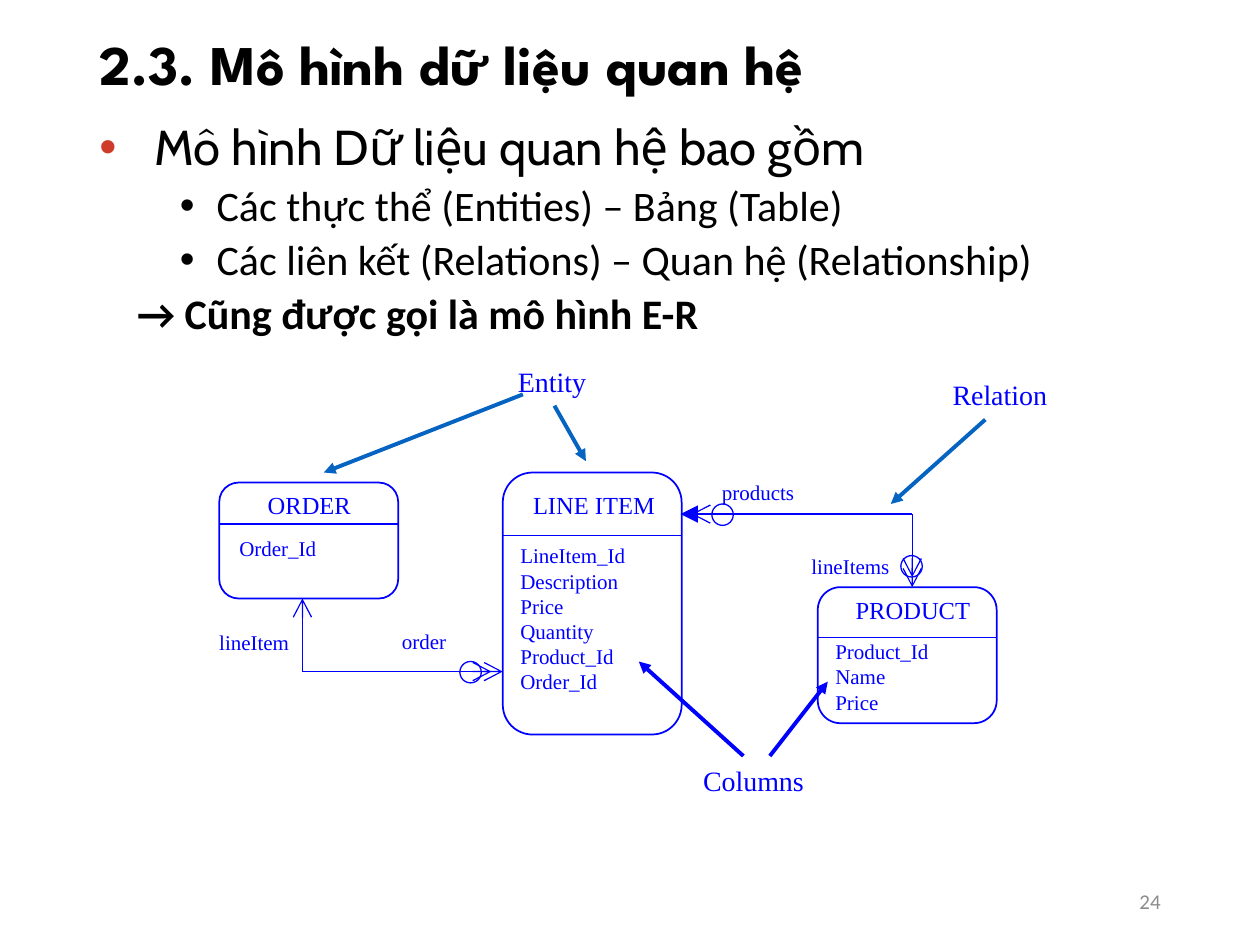
from lxml import etree
from pptx import Presentation
from pptx import util as u
from pptx.dml import color as dml
from pptx.enum import shapes, text
from pptx.oxml import ns

BLUE, STEEL, BLACK = "0000FF", "0563C1", "000000"
SERIF = "Times New Roman"


def rgb(value):
    return dml.RGBColor.from_string(value)


def add_xml(parent, tag, **attributes):
    return etree.SubElement(parent, ns.qn(tag), attributes)


def write(para, content, font=SERIF, size=12, color=BLUE, bold=False,
          align=text.PP_ALIGN.LEFT, spacing=None, before=0):
    para.alignment = align
    para.space_before = u.Pt(before)
    if spacing:
        para.line_spacing = spacing
    span = para.add_run()
    span.text = content
    span.font.name = font
    span.font.size = u.Pt(size)
    span.font.bold = bold
    span.font.color.rgb = rgb(color)


class Diagram:
    def __init__(self, deck):
        self.page = deck.slides.add_slide(deck.slide_layouts[5])

    def title(self, content, *area):
        box = self.page.shapes.title
        box.left, box.top, box.width, box.height = map(u.Inches, area)
        frame = box.text_frame
        frame.word_wrap = True
        frame.auto_size = text.MSO_AUTO_SIZE.NONE
        frame.vertical_anchor = text.MSO_ANCHOR.MIDDLE
        write(frame.paragraphs[0], content, font="League Spartan", size=32,
              color=BLACK, bold=True, spacing=0.9)

    def frame(self, *area):
        box = self.page.shapes.add_textbox(*map(u.Inches, area))
        box.text_frame.word_wrap = True
        return box.text_frame

    def bullets(self, items, *area):
        frame = self.frame(*area)
        for index, item in enumerate(items):
            para = frame.paragraphs[0] if index == 0 else frame.add_paragraph()
            content, left, hanging, bullet_color, style = item
            props = para._p.get_or_add_pPr()
            props.set("marL", str(u.Inches(left)))
            props.set("indent", str(u.Inches(-hanging)))
            if bullet_color:
                add_xml(add_xml(props, "a:buClr"), "a:srgbClr", val=bullet_color)
                add_xml(props, "a:buFont", typeface="Arial")
                add_xml(props, "a:buChar", char="•")
            else:
                add_xml(props, "a:buNone")
            write(para, content, color=BLACK, spacing=0.9,
                  before=5 if index else 0, **style)

    def label(self, lines, *area, wrap=False, **style):
        frame = self.frame(*area)
        frame.word_wrap = wrap
        frame.auto_size = text.MSO_AUTO_SIZE.SHAPE_TO_FIT_TEXT
        frame.margin_left = frame.margin_right = u.Inches(0.12)
        frame.margin_top = frame.margin_bottom = u.Inches(0.06)
        for index, line in enumerate(lines):
            para = frame.paragraphs[0] if index == 0 else frame.add_paragraph()
            write(para, line, **style)

    def number(self, content, *area):
        frame = self.frame(*area)
        frame.vertical_anchor = text.MSO_ANCHOR.MIDDLE
        write(frame.paragraphs[0], content, font="Calibri", color="8C8C8C",
              align=text.PP_ALIGN.RIGHT)

    def outline(self, kind, *area, weight=1):
        shape = self.page.shapes.add_shape(kind, *map(u.Inches, area))
        shape.shadow.inherit = False
        shape.fill.background()
        shape.line.color.rgb = rgb(BLUE)
        shape.line.width = u.Pt(weight)

    def line(self, start, end, color=BLUE, weight=0.75, head=None, tail=None,
             arrow_size="lg"):
        link = self.page.shapes.add_connector(
            shapes.MSO_CONNECTOR.STRAIGHT, *map(u.Inches, (*start, *end)))
        link.line.color.rgb = rgb(color)
        link.line.width = u.Pt(weight)
        stroke = link.line._get_or_add_ln()
        for tag, arrow in (("a:headEnd", head), ("a:tailEnd", tail)):
            if arrow:
                add_xml(stroke, tag, type=arrow, w=arrow_size, len=arrow_size)
        add_xml(link._element.spPr, "a:effectLst")

    def entity(self, area, divider, name, name_area, fields, field_area, wrap=False):
        left, _, width, _ = area
        self.outline(shapes.MSO_SHAPE.ROUNDED_RECTANGLE, *area)
        self.line((left, divider), (left + width, divider), weight=1)
        self.label([name], *name_area, size=14, align=text.PP_ALIGN.CENTER)
        self.label(fields, *field_area, wrap=wrap)

    def ring(self, left, top):
        self.outline(shapes.MSO_SHAPE.FLOWCHART_CONNECTOR, left, top, 0.17, 0.17,
                     weight=0.75)


def main():
    deck = Presentation()
    deck.slide_width, deck.slide_height = u.Inches(10), u.Inches(7.5)
    diagram = Diagram(deck)
    diagram.title("2.3. Mô hình dữ liệu quan hệ", 0.69, 0.13, 8.62, 0.81)
    main_style = {"font": "Cabin", "size": 28}
    sub_style = {"font": "Calibri", "size": 24}
    diagram.bullets([
        ("Mô hình Dữ liệu quan hệ bao gồm", 0.44, 0.44, "CE3B2A", main_style),
        ("Các thực thể (Entities) – Bảng (Table)", 0.93, 0.29, BLACK, sub_style),
        ("Các liên kết (Relations) – Quan hệ (Relationship)", 0.93, 0.29, BLACK,
         sub_style),
        ("→ Cũng được gọi là mô hình E-R", 0.3, 0, None, {**sub_style, "bold": True}),
    ], 0.69, 0.93, 8.62, 5.66)

    diagram.entity((1.74, 3.83, 1.42, 0.92), 4.16, "ORDER", (2, 3.83, 0.91, 0.35),
                   ["Order_Id"], (1.78, 4.19, 0.86, 0.32))
    diagram.entity((3.99, 3.75, 1.42, 2.08), 4.25, "LINE ITEM",
                   (4.11, 3.83, 1.21, 0.35),
                   ["LineItem_Id", "Description", "Price", "Quantity", "Product_Id",
                    "Order_Id"], (4.01, 4.25, 1.39, 1.33), wrap=True)
    diagram.entity((6.49, 4.66, 1.42, 1.08), 5.06, "PRODUCT", (6.67, 4.66, 1.15, 0.35),
                   ["Product_Id", "Name", "Price"], (6.51, 5.01, 1, 0.73))

    for start, end, head, tail in [
        ((2.4, 4.75), (2.4, 5.33), "arrow", None),
        ((2.4, 5.33), (3.99, 5.33), None, "arrow"),
        ((2.49, 5.33), (3.9, 5.33), None, "arrow"),
        ((5.4, 4.08), (7.24, 4.08), "triangle", None),
        ((5.49, 4.08), (6.82, 4.08), "arrow", None),
        ((7.24, 4.08), (7.24, 4.66), None, "arrow"),
        ((7.24, 4.33), (7.24, 4.58), None, "arrow"),
    ]:
        diagram.line(start, end, head=head, tail=tail)
    for left, top in [(3.65, 5.25), (5.65, 4), (7.15, 4.41)]:
        diagram.ring(left, top)

    for name, left, top, width in [
        ("lineItem", 1.62, 4.94, 0.9), ("order", 3.07, 4.93, 0.7),
        ("products", 5.61, 3.75, 0.92), ("lineItems", 6.32, 4.33, 0.96),
    ]:
        diagram.label([name], left, top, width, 0.32, wrap=True)
    for name, left, top, width in [
        ("Entity", 3.99, 2.83, 0.79), ("Relation", 7.44, 2.94, 1),
        ("Columns", 5.46, 6, 1.05),
    ]:
        diagram.label([name], left, top, width, 0.39, size=16)
    for start, end, color in [
        ((4.4, 3.22), (4.65, 3.66), STEEL), ((4.15, 3.13), (2.57, 3.75), STEEL),
        ((7.82, 3.33), (7.07, 4), STEEL), ((5.9, 6), (5.07, 5.25), BLUE),
        ((6.11, 6), (6.57, 5.41), BLUE),
    ]:
        diagram.line(start, end, color=color, weight=2.25, tail="triangle",
                     arrow_size="med")

    diagram.number("24", 7.06, 6.95, 2.25, 0.4)
    deck.save("out.pptx")


if __name__ == "__main__":
    main()
